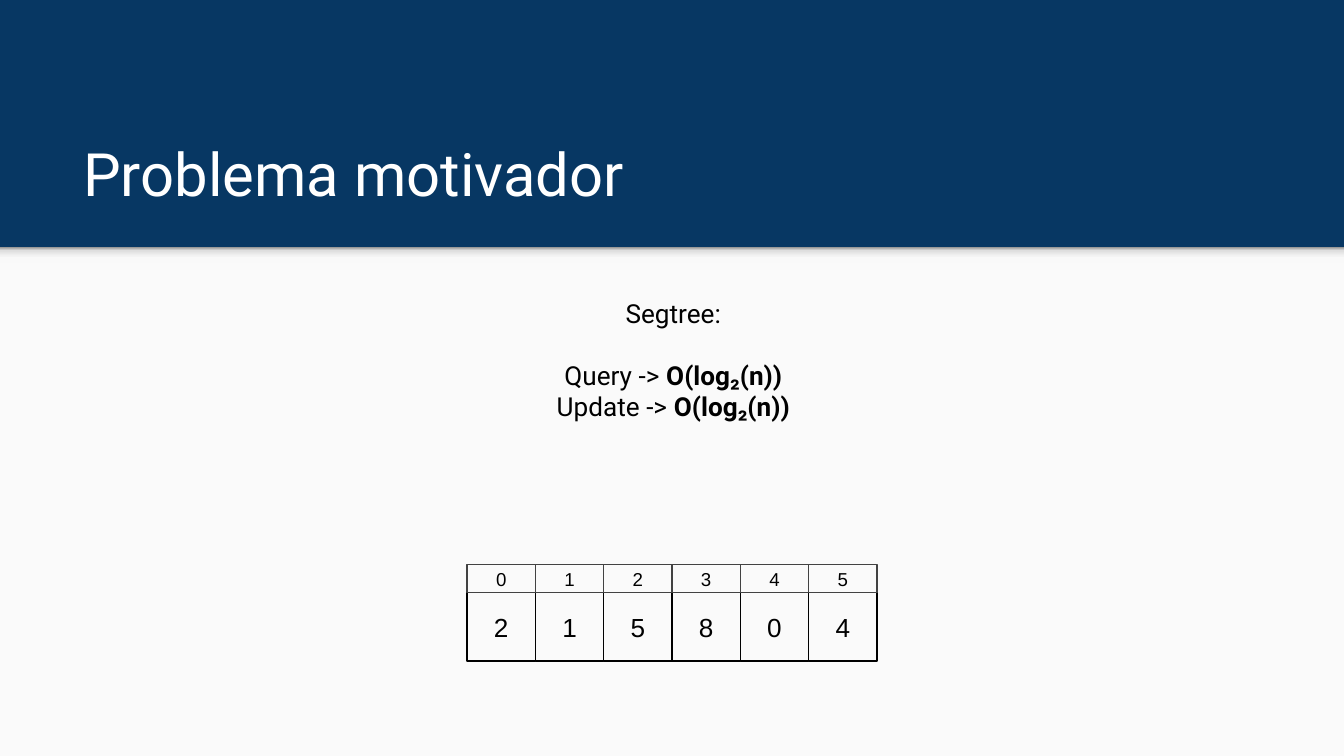
from lxml.etree import SubElement
from pptx import Presentation
from pptx.dml.color import RGBColor
from pptx.enum.shapes import MSO_SHAPE as Shape
from pptx.enum.text import MSO_ANCHOR as Anchor, PP_ALIGN as Align
from pptx.oxml.ns import qn
from pptx.util import Inches, Pt

# Content
TITLE = "Problema motivador"
HEADING = "Segtree:"
COSTS = [("Query -> ", "O(log₂(n))"), ("Update -> ", "O(log₂(n))")]
VALUES = [2, 1, 5, 8, 0, 4]

THEME = {
    "band": "073763", "body": "FAFAFA", "title": "FFFFFF", "text": "000000",
    "value_line": "000000", "index_line": "424242",
    "shadow": [(0, "F9F9F9"), (36, "F9F9F9"), (80, "DEDEDE"), (100, "999999")],
    "font": "Roboto", "cell_font": "Arial",
    "title_size": 32, "text_size": 14, "index_size": 10, "line_width": 0.75,
}

# Layout in inches, on a 16:9 slide
WIDTH = 10
HEIGHT = WIDTH * 9 / 16
BAND_HEIGHT = 1.84
ARRAY_WIDTH = 3.05
CELL = ARRAY_WIDTH / len(VALUES)
ARRAY_LEFT = (WIDTH - ARRAY_WIDTH) / 2
INDEX_TOP, INDEX_HEIGHT = 4.2, 0.21


def color(name):
    return RGBColor.from_string(THEME[name])


def add_rectangle(slide, left, top, width, height):
    shape = slide.shapes.add_shape(
        Shape.RECTANGLE, Inches(left), Inches(top), Inches(width), Inches(height))
    shape.shadow.inherit = False
    shape.line.fill.background()
    return shape


def set_frame(shape, anchor):
    frame = shape.text_frame
    frame.word_wrap = True
    frame.vertical_anchor = anchor
    frame.margin_left = frame.margin_right = Inches(0.1)
    frame.margin_top = frame.margin_bottom = Inches(0.1)
    return frame


def add_text_box(slide, left, top, width, height, anchor):
    box = slide.shapes.add_textbox(
        Inches(left), Inches(top), Inches(width), Inches(height))
    return set_frame(box, anchor)


def add_run(paragraph, text, size, font="font", fill="text", bold=False):
    run = paragraph.add_run()
    run.text = text
    run.font.name = THEME[font]
    run.font.size = Pt(THEME[size])
    run.font.bold = bold
    run.font.color.rgb = color(fill)


def add_cell(slide, column, top, height, text, size, line):
    cell = add_rectangle(slide, ARRAY_LEFT + column * CELL, top, CELL, height)
    cell.fill.background()
    cell.line.color.rgb = color(line)
    cell.line.width = Pt(THEME["line_width"])
    paragraph = set_frame(cell, Anchor.MIDDLE).paragraphs[0]
    paragraph.alignment = Align.CENTER
    add_run(paragraph, str(text), size, "cell_font")


def set_gradient(shape, stops):
    shape.fill.gradient()
    shape.fill.gradient_angle = 90
    stop_list = shape.element.spPr.find(qn("a:gradFill")).find(qn("a:gsLst"))
    for stop in list(stop_list):
        stop_list.remove(stop)
    for position, value in stops:
        stop = SubElement(stop_list, qn("a:gs"), pos=str(position * 1000))
        SubElement(stop, qn("a:srgbClr"), val=value)


presentation = Presentation()
presentation.slide_width, presentation.slide_height = Inches(WIDTH), Inches(HEIGHT)
slide = presentation.slides.add_slide(presentation.slide_layouts[6])

# Background, body panel and the shadow below the title band
slide.background.fill.solid()
slide.background.fill.fore_color.rgb = color("band")
body = add_rectangle(slide, 0, BAND_HEIGHT, WIDTH, HEIGHT - BAND_HEIGHT)
body.fill.solid()
body.fill.fore_color.rgb = color("body")
band_shadow = add_rectangle(slide, 0, BAND_HEIGHT, WIDTH, 0.12)
set_gradient(band_shadow, THEME["shadow"])

# Title
title = add_text_box(slide, 0.52, 0.81, 8.99, 0.84, Anchor.BOTTOM)
add_run(title.paragraphs[0], TITLE, "title_size", fill="title")

# Costs, set off from the heading by one line
costs = add_text_box(slide, 1.97, 2.11, 6.08, 1.14, Anchor.TOP)
heading = costs.paragraphs[0]
heading.alignment = Align.CENTER
heading.space_after = Pt(16.5)
add_run(heading, HEADING, "text_size")
for operation, cost in COSTS:
    paragraph = costs.add_paragraph()
    paragraph.alignment = Align.CENTER
    add_run(paragraph, operation, "text_size")
    add_run(paragraph, cost, "text_size", bold=True)

# Array: square value cells under a row of indices
for column, value in enumerate(VALUES):
    add_cell(slide, column, INDEX_TOP + INDEX_HEIGHT, CELL, value,
             "text_size", "value_line")
for column in range(len(VALUES)):
    add_cell(slide, column, INDEX_TOP, INDEX_HEIGHT, column,
             "index_size", "index_line")

presentation.save("out.pptx")
